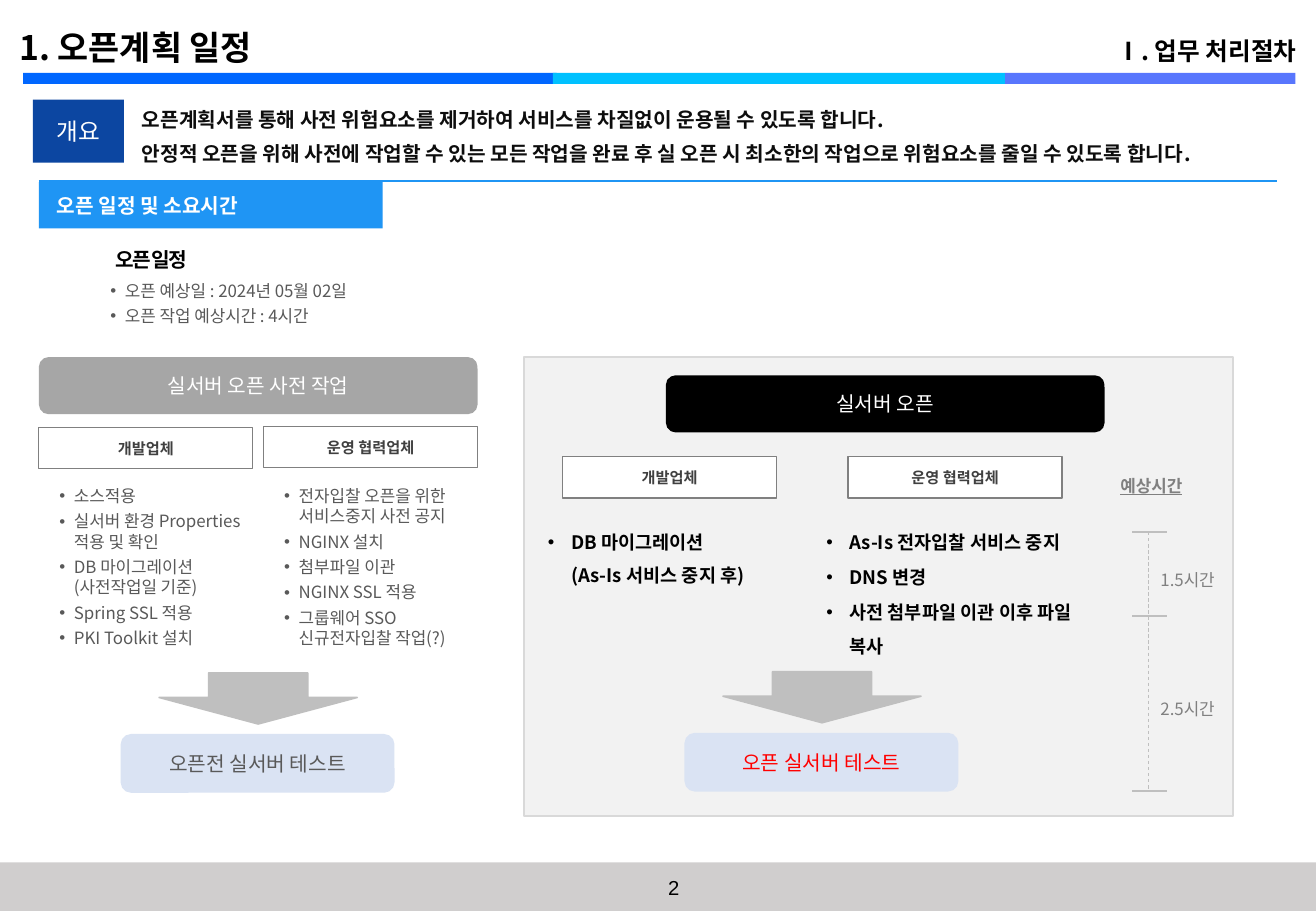
import dataclasses

import pptx
import pptx.dml.color
import pptx.enum.dml
import pptx.enum.shapes
import pptx.enum.text
import pptx.oxml.ns
import pptx.util
from lxml import etree

SHAPES = pptx.enum.shapes.MSO_SHAPE
ALIGN = pptx.enum.text.PP_ALIGN
ANCHOR = pptx.enum.text.MSO_ANCHOR
PX = 9144  # one px is a hundredth of an inch
qn = pptx.oxml.ns.qn


@dataclasses.dataclass(frozen=True)
class Theme:
    font: str = "Noto Sans CJK KR"
    number_font: str = "Arial"
    # Colours
    black: str = "000000"
    white: str = "FFFFFF"
    red: str = "FF0000"
    ink: str = "0D0D0D"
    dark: str = "404040"
    body: str = "595959"
    muted: str = "808080"
    gray: str = "A6A6A6"
    silver: str = "BFBFBF"
    border: str = "D9D9D9"
    panel: str = "F2F2F2"
    footer: str = "D0CECE"
    bar_left: str = "0067FF"
    bar_middle: str = "00C1FF"
    bar_right: str = "5876FD"
    navy: str = "0C46A1"
    section: str = "1F95F4"
    pale: str = "DAE3F3"
    # Type sizes
    title: float = 20
    chapter: float = 14.6
    label: float = 14
    heading: float = 12
    step: float = 11
    small: float = 10
    company: float = 9


def rgb(value):
    return pptx.dml.color.RGBColor.from_string(value)


class SlideBuilder:
    TIGHT = (0, 1, 0, 0)

    def __init__(self, slide, theme):
        self.slide = slide
        self.theme = theme

    def set_text(self, shape, lines, size, color, bold=False, align=ALIGN.LEFT,
                 anchor=ANCHOR.TOP, insets=(10, 5, 10, 5), margin=0, indent=0,
                 bullet=False, spacing=None, before=0, font=None, underline=None,
                 tracking=None):
        frame = shape.text_frame
        frame.word_wrap = True
        frame.vertical_anchor = anchor
        (frame.margin_left, frame.margin_top,
         frame.margin_right, frame.margin_bottom) = [inset * PX for inset in insets]
        name = font or self.theme.font
        for index, line in enumerate(lines):
            paragraph = frame.add_paragraph() if index else frame.paragraphs[0]
            paragraph.text = line
            paragraph.alignment = align
            if spacing:
                paragraph.line_spacing = spacing
            if index and before:
                paragraph.space_before = pptx.util.Pt(before)
            properties = paragraph._p.get_or_add_pPr()
            properties.set("marL", str(margin * PX))
            properties.set("indent", str(indent * PX))
            if bullet:
                etree.SubElement(properties, qn("a:buFont"), typeface="Arial")
                etree.SubElement(properties, qn("a:buChar"), char="•")
            paragraph.font.name = name
            paragraph.font.size = pptx.util.Pt(size)
            paragraph.font.bold = bold
            paragraph.font.underline = underline
            paragraph.font.color.rgb = rgb(color)
            defaults = properties.find(qn("a:defRPr"))
            defaults.find(qn("a:latin")).addnext(
                etree.Element(qn("a:ea"), typeface=name))
            if tracking:
                defaults.set("spc", str(tracking))

    def text(self, box, lines, size, color, **style):
        shape = self.slide.shapes.add_textbox(*[length * PX for length in box])
        self.set_text(shape, lines, size, color, **style)

    def shape(self, box, fill, kind=SHAPES.RECTANGLE, line=None, width=1):
        shape = self.slide.shapes.add_shape(kind, *[length * PX for length in box])
        shape.shadow.inherit = False
        shape.fill.solid()
        shape.fill.fore_color.rgb = rgb(fill)
        if line:
            shape.line.color.rgb = rgb(line)
            shape.line.width = pptx.util.Pt(width)
        else:
            shape.line.fill.background()
        return shape

    def line(self, start, end, color, width, dashed=False):
        connector = self.slide.shapes.add_connector(
            pptx.enum.shapes.MSO_CONNECTOR.STRAIGHT,
            *[length * PX for length in (*start, *end)])
        connector.line.color.rgb = rgb(color)
        connector.line.width = pptx.util.Pt(width)
        if dashed:
            connector.line.dash_style = pptx.enum.dml.MSO_LINE.DASH
        etree.SubElement(connector._element.spPr, qn("a:effectLst"))

    def label(self, box, caption, fill, size, color, bold=False, **look):
        shape = self.shape(box, fill, **look)
        self.set_text(shape, [caption], size, color, bold=bold,
                      align=ALIGN.CENTER, anchor=ANCHOR.MIDDLE, insets=(0, 0, 0, 0))

    def stage(self, left, top, caption, fill):
        self.label((left, top, 361, 47), caption, fill, self.theme.heading,
                   self.theme.white, kind=SHAPES.ROUNDED_RECTANGLE)

    def company(self, left, top, caption):
        self.label((left, top, 176, 34), caption, self.theme.white,
                   self.theme.company, self.theme.dark, bold=True,
                   line=self.theme.muted, width=0.75)

    def test(self, left, top, caption, color):
        theme = self.theme
        arrow = self.shape((left + 31, top - 51, 163, 42), theme.silver,
                           kind=SHAPES.DOWN_ARROW, line=theme.silver)
        arrow.adjustments[0] = 0.5
        arrow.adjustments[1] = 0.52
        self.label((left, top, 224, 47), caption, theme.pale, theme.heading, color,
                   kind=SHAPES.ROUNDED_RECTANGLE, line=theme.pale)

    def tasks(self, box, lines):
        self.text(box, lines, self.theme.small, self.theme.body,
                  margin=19, indent=-12, bullet=True, before=3)

    def steps(self, box, lines):
        self.text(box, lines, self.theme.step, self.theme.black, bold=True,
                  insets=self.TIGHT, margin=20, indent=-19, bullet=True,
                  spacing=1.5, before=1)


def main():
    theme = Theme()
    presentation = pptx.Presentation()
    presentation.slide_width = 1083 * PX
    presentation.slide_height = 750 * PX
    slide = presentation.slides.add_slide(presentation.slide_layouts[6])
    page = SlideBuilder(slide, theme)
    developer, operator = "개발업체", "운영 협력업체"

    # Header and footer
    for left, width, color in ((19, 439, theme.bar_left), (827, 239, theme.bar_right),
                               (455, 372, theme.bar_middle)):
        page.shape((left, 60, width, 9), color)
    page.shape((0, 710, 1083, 40), theme.footer)
    page.text((458, 716, 193, 30), ["2"], theme.heading, theme.black,
              align=ALIGN.CENTER, font=theme.number_font)
    page.text((6, 0, 736, 60), ["1. 오픈계획 일정"], theme.title, theme.black,
              bold=True, anchor=ANCHOR.MIDDLE, spacing=1.5)
    page.text((802, 12, 275, 47), ["Ⅰ. 업무 처리절차"], theme.chapter, theme.black,
              bold=True, align=ALIGN.RIGHT, anchor=ANCHOR.BOTTOM, spacing=0.9)

    # Overview
    page.label((27, 82, 75, 52), "개요", theme.navy, theme.label, theme.white)
    page.text((107, 76, 952, 66), [
        "오픈계획서를 통해 사전 위험요소를 제거하여 서비스를 차질없이 운용될 수 있도록 합니다.",
        "안정적 오픈을 위해 사전에 작업할 수 있는 모든 작업을 완료 후 실 오픈 시 "
        "최소한의 작업으로 위험요소를 줄일 수 있도록 합니다.",
    ], theme.heading, theme.ink, bold=True, spacing=pptx.util.Pt(20))

    # Schedule
    page.line((32, 149), (1051, 149), theme.section, 0.75)
    section = page.shape((32, 150, 283, 38), theme.section)
    page.set_text(section, ["오픈 일정 및 소요시간"], theme.heading, theme.white,
                  bold=True, anchor=ANCHOR.MIDDLE, indent=5)
    page.text((94, 203, 186, 22), ["오픈 일정"], theme.heading, theme.black,
              bold=True, insets=page.TIGHT, margin=1, tracking=-110)
    page.tasks((74, 226, 416, 48),
               ["오픈 예상일 : 2024년 05월 02일", "오픈 작업 예상시간 : 4시간"])

    # Work before opening
    page.stage(32, 294, "실서버 오픈 사전 작업", theme.gray)
    page.company(32, 352, developer)
    page.company(217, 351, operator)
    page.tasks((32, 395, 176, 145), [
        "소스적용", "실서버 환경 Properties 적용 및 확인",
        "DB 마이그레이션 (사전작업일 기준)", "Spring SSL 적용", "PKI Toolkit 설치"])
    page.tasks((217, 395, 176, 145), [
        "전자입찰 오픈을 위한 서비스중지 사전 공지", "NGINX 설치", "첨부파일 이관",
        "NGINX SSL 적용", "그룹웨어 SSO 신규전자입찰 작업(?)"])
    page.test(100, 605, "오픈전 실서버 테스트", theme.body)

    # Opening
    page.shape((431, 294, 584, 378), theme.panel, line=theme.border)
    page.stage(548, 309, "실서버 오픈", theme.black)
    page.company(463, 376, developer)
    page.company(698, 376, operator)
    page.steps((450, 427, 236, 57), ["DB 마이그레이션\v(As-Is 서비스 중지 후)"])
    page.steps((679, 427, 232, 115), [
        "As-Is 전자입찰 서비스 중지", "DNS 변경", "사전 첨부파일 이관 이후 파일 복사"])
    page.test(564, 604, "오픈 실서버 테스트", theme.red)

    # Expected time
    page.text((898, 382, 98, 24), ["예상시간"], theme.small, theme.muted, bold=True,
              align=ALIGN.CENTER, insets=page.TIGHT, margin=1, spacing=1.5,
              underline=True)
    for top in (438, 507, 651):
        page.line((932, top), (960, top), theme.silver, 1)
    page.line((945, 438), (945, 651), theme.silver, 0.5, dashed=True)
    for top, duration in ((460, "1.5시간"), (566, "2.5시간")):
        page.text((954, top, 50, 24), [duration], theme.small, theme.muted,
                  insets=page.TIGHT, margin=1, spacing=1.5)

    presentation.save("out.pptx")


if __name__ == "__main__":
    main()
